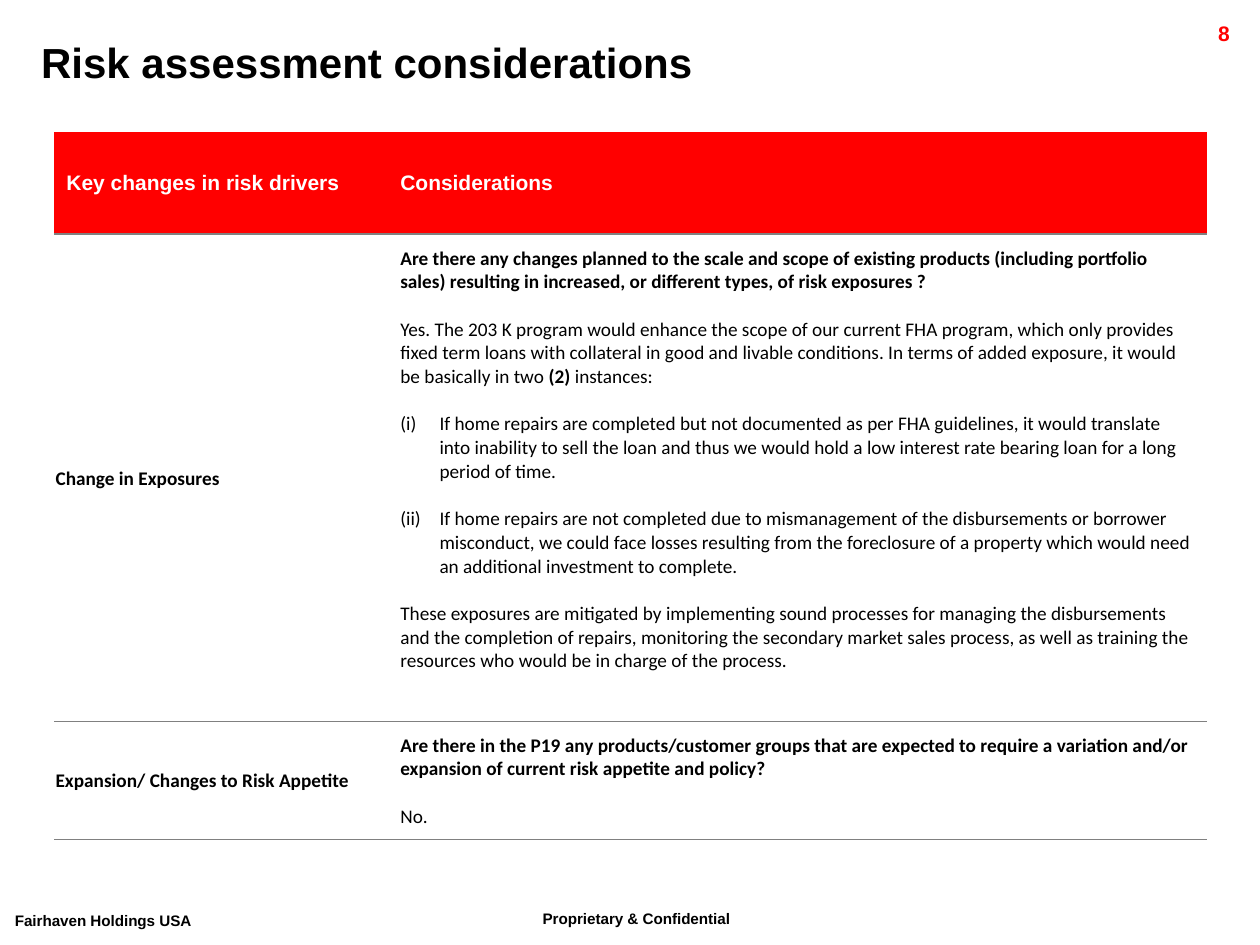
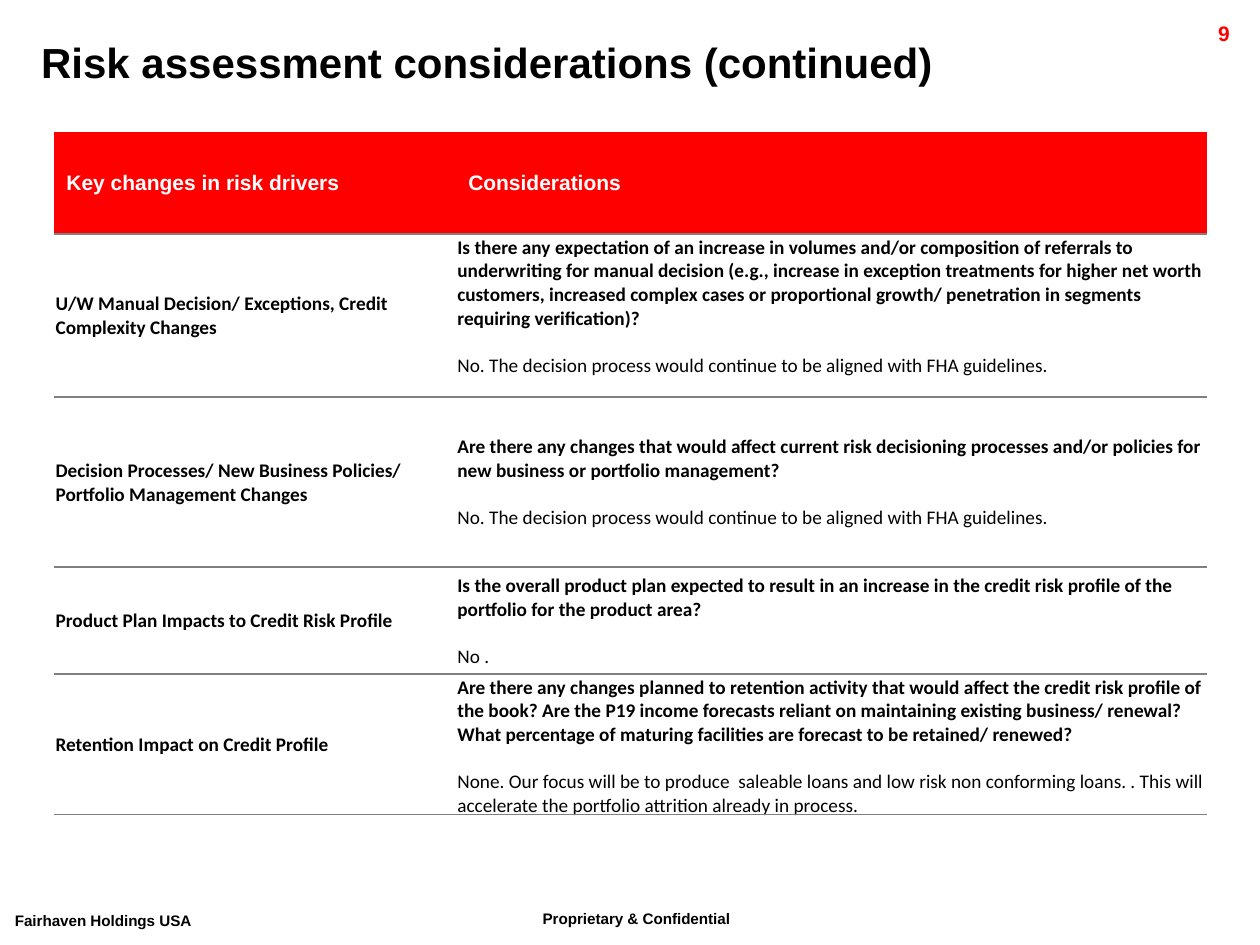
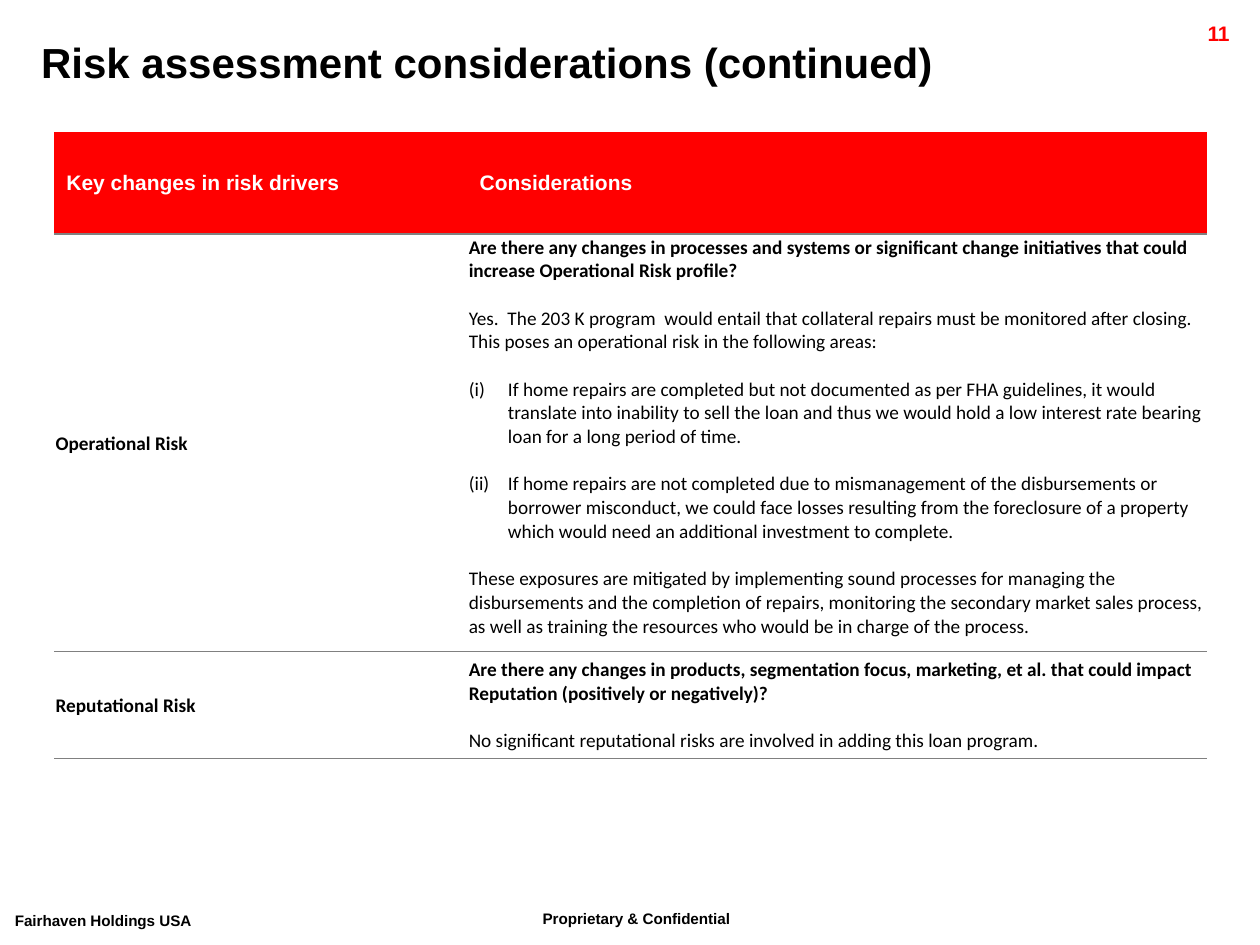
from lxml import etree
from pptx import Presentation
from pptx.dml.color import RGBColor
from pptx.enum.text import MSO_ANCHOR, PP_ALIGN
from pptx.oxml.ns import qn
from pptx.util import Cm, Pt

MID, TOP = MSO_ANCHOR.MIDDLE, MSO_ANCHOR.TOP
LEFT, RIGHT = PP_ALIGN.LEFT, PP_ALIGN.RIGHT
RED, GREY, BLACK, WHITE = "FF0000", "808080", "000000", "FFFFFF"
HEAD, BODY = "Arial", "Calibri"
WIDE, TIGHT = 0.25, 0.03
TABLE_X, TABLE_Y, TABLE_W, HEAD_H = 1.09, 2.66, 23.24, 2.06
LINE_GAP = 13.4
HEADS = ("Key changes in risk drivers", "Considerations")

TITLE = "Risk assessment considerations"
MORE = TITLE + " (continued)"
ALIGNED = "No. The decision process would continue to be aligned with FHA guidelines."
REPAIRS = (
    "If home repairs are completed but not documented as per FHA guidelines, it would translate into inability to sell the loan and thus we would hold a low interest rate bearing loan for a long period of time.",
    "If home repairs are not completed due to mismanagement of the disbursements or borrower misconduct, we could face losses resulting from the foreclosure of a property which would need an additional investment to complete.",
)
CONTROLS = "These exposures are mitigated by implementing sound processes for managing the disbursements and the completion of repairs, monitoring the secondary market sales process, as well as training the resources who would be in charge of the process."

EXPOSURE = [
    (9.82, "Change in Exposures", [
        "Are there any changes planned to the scale and scope of existing products (including portfolio sales) resulting in increased, or different types, of risk exposures ?",
        "Yes. The 203 K program would enhance the scope of our current FHA program, which only provides fixed term loans with collateral in good and livable conditions. In terms of added exposure, it would be basically in two| (2) |instances:",
        REPAIRS, CONTROLS]),
    (2.38, "Expansion/ Changes to Risk Appetite", [
        "Are there in the P19 any products/customer groups that are expected to require a variation and/or expansion of current risk appetite and policy?",
        "No."]),
]
CREDIT = [
    (3.28, "U/W Manual Decision/ Exceptions, Credit Complexity Changes", [
        "Is there any expectation of an increase in volumes and/or composition of referrals to underwriting for manual decision (e.g., increase in exception treatments for higher net worth customers, increased complex cases or proportional growth/ penetration in segments requiring verification)?",
        ALIGNED]),
    (3.43, "Decision Processes/ New Business Policies/ Portfolio Management Changes", [
        "Are there any changes that would affect current risk decisioning processes and/or policies for new business or portfolio management?",
        ALIGNED]),
    (2.16, "Product Plan Impacts to Credit Risk Profile", [
        "Is the overall product plan expected to result in an increase in the credit risk profile of the portfolio for the product area?",
        "No ."]),
    (2.82, "Retention Impact on Credit Profile", [
        "Are there any changes planned to retention activity that would affect the credit risk profile of the book? Are the P19 income forecasts reliant on maintaining existing business/ renewal? What percentage of maturing facilities are forecast to be retained/ renewed?",
        "None. Our focus will be to produce  saleable loans and low risk non conforming loans. . This will accelerate the portfolio attrition already in process."]),
]
PROCESS = [
    (8.41, "Operational Risk", [
        "Are there any changes in processes and systems or significant change initiatives that could increase Operational Risk profile?",
        "Yes.  The 203 K program  would entail that collateral repairs must be monitored after closing. This poses an operational risk in the following areas:",
        REPAIRS, CONTROLS]),
    (2.16, "Reputational Risk", [
        "Are there any changes in products, segmentation focus, marketing, et al. that could impact Reputation (positively or negatively)?",
        "No significant reputational risks are involved in adding this loan program."]),
]
PAGES = [
    (8, TITLE, 6.73, WIDE, EXPOSURE),
    (9, MORE, 8.1, TIGHT, CREDIT),
    (11, MORE, 8.33, TIGHT, PROCESS),
]


def color(code):
    return RGBColor.from_string(code)


def style(para, face, size, code, bold=True):
    font = para.font
    font.name, font.size, font.bold = face, Pt(size), bold
    font.color.rgb = color(code)


def label(slide, box, text, size, code=BLACK, align=LEFT, raised=False):
    frame = slide.shapes.add_textbox(*(Cm(v) for v in box)).text_frame
    frame.word_wrap = True
    para = frame.paragraphs[0]
    para.alignment = align
    run = para.add_run()
    run.text = text
    style(para, HEAD, size, code)
    if raised:
        run._r.get_or_add_rPr().set("baseline", "30000")


def number(para):
    props = para._p.get_or_add_pPr()
    props.set("marL", str(Cm(0.79)))
    props.set("indent", str(-Cm(0.79)))
    etree.SubElement(props, qn("a:buFont"), typeface="+mj-lt")
    etree.SubElement(props, qn("a:buAutoNum"), type="romanLcParenBoth")


def border(cell, first):
    props = cell._tc.get_or_add_tcPr()
    lines = (("lnL", None), ("lnR", None),
             ("lnT", None if first else GREY), ("lnB", GREY))
    for spot, (name, code) in enumerate(lines):
        line = etree.Element(qn("a:" + name), w=str(Pt(1)))
        if code:
            fill = etree.SubElement(line, qn("a:solidFill"))
            etree.SubElement(fill, qn("a:srgbClr"), val=code)
        else:
            etree.SubElement(line, qn("a:noFill"))
        props.insert(spot, line)


def setup(cell, pad, anchor=MID, fill=None):
    cell.vertical_anchor = anchor
    cell.margin_left = cell.margin_right = Cm(pad)
    cell.margin_top = Cm(pad)
    cell.margin_bottom = Cm(pad if pad == WIDE else 0)
    if fill:
        cell.fill.solid()
        cell.fill.fore_color.rgb = color(fill)
    else:
        cell.fill.background()
    border(cell, bool(fill))


def write(cell, items):
    frame = cell.text_frame
    flat = []
    for item in items:
        listed = isinstance(item, tuple)
        flat += [(text, listed) for text in (item if listed else (item,))]
    for pos, (text, listed) in enumerate(flat):
        para = frame.add_paragraph() if pos else frame.paragraphs[0]
        if pos:
            para.space_before = Pt(LINE_GAP)
        if listed:
            number(para)
        style(para, BODY, 11, BLACK, pos == 0)
        for turn, part in enumerate(text.split("|")):
            run = para.add_run()
            run.text = part
            if turn % 2:
                run.font.bold = True


def grid(slide, split, pad, rows):
    tall = HEAD_H + sum(row[0] for row in rows)
    box = (TABLE_X, TABLE_Y, TABLE_W, tall)
    table = slide.shapes.add_table(len(rows) + 1, 2, *(Cm(v) for v in box)).table
    table.first_row = table.horz_banding = False
    for col, width in zip(table.columns, (split, TABLE_W - split)):
        col.width = Cm(width)
    table.rows[0].height = Cm(HEAD_H)
    for col, text in enumerate(HEADS):
        cell = table.cell(0, col)
        setup(cell, WIDE, fill=RED)
        cell.text = text
        style(cell.text_frame.paragraphs[0], HEAD, 12, WHITE)
    for pos, (height, driver, notes) in enumerate(rows, 1):
        table.rows[pos].height = Cm(height)
        setup(table.cell(pos, 0), TIGHT)
        write(table.cell(pos, 0), [driver])
        setup(table.cell(pos, 1), pad, TOP if pos == 1 else MID)
        write(table.cell(pos, 1), notes)


def frame_page(slide, page, title):
    label(slide, (10.69, 18.14, 5.54, 0.89), "Proprietary & Confidential", 15, raised=True)
    label(slide, (0.05, 18.19, 4.85, 0.89), "Fairhaven Holdings USA", 15, raised=True)
    label(slide, (22.63, 0.28, 2.41, 0.61), str(page), 12, RED, RIGHT)
    label(slide, (0.58, 0.61, 24.8, 1.27), title, 24)


def main():
    deck = Presentation()
    deck.slide_width, deck.slide_height = Cm(25.4), Cm(19.05)
    for page, title, split, pad, rows in PAGES:
        slide = deck.slides.add_slide(deck.slide_layouts[6])
        frame_page(slide, page, title)
        grid(slide, split, pad, rows)
    deck.save("out.pptx")


if __name__ == "__main__":
    main()
